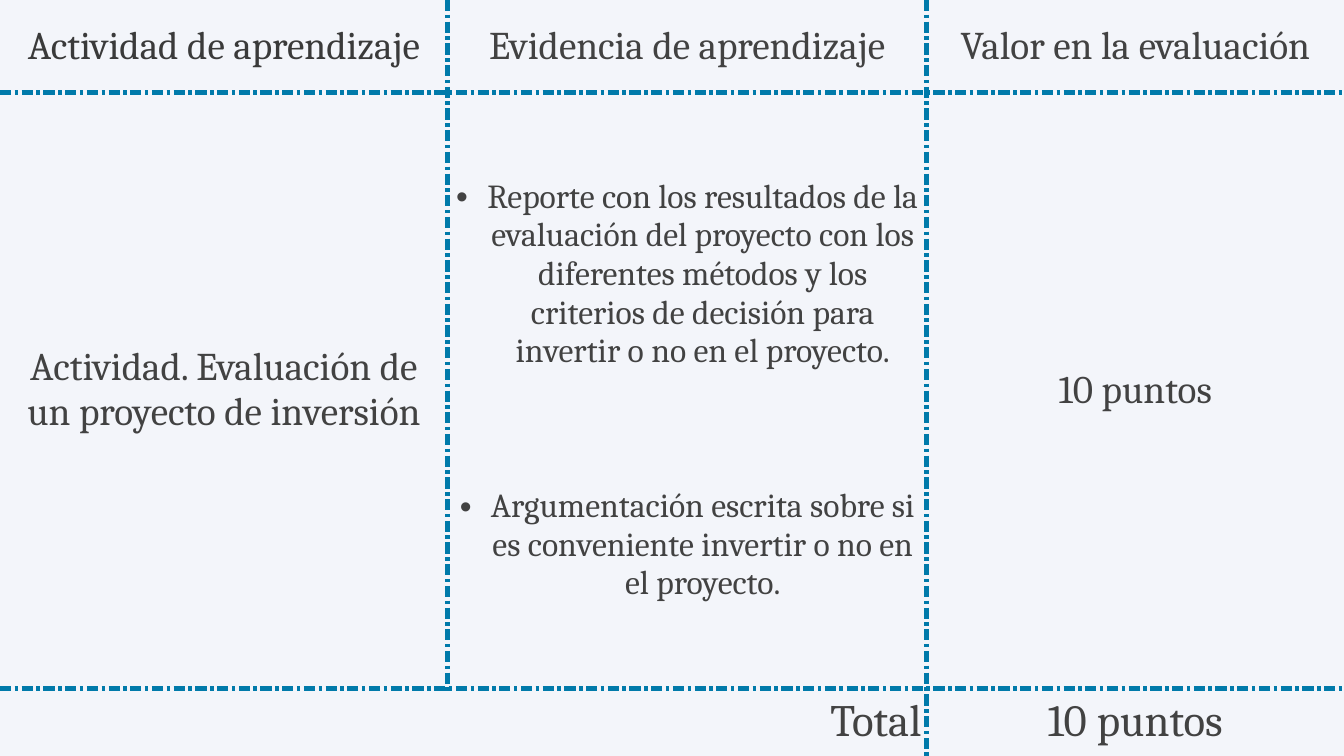
import pptx
import pptx.util
import pptx.dml.color
import pptx.enum.text
import pptx.oxml.ns
from lxml import etree

Inches = pptx.util.Inches
Pt = pptx.util.Pt
ALIGN = pptx.enum.text.PP_ALIGN
MIDDLE = pptx.enum.text.MSO_ANCHOR.MIDDLE
BLUE, DARK, GRAY, PALE = "007AAA", "3A3A3A", "424242", "F3F5FA"
COLS = [4.44, 4.75, 4.14]
ROWS = [0.92, 5.91, 0.67]
HEADS = ["Actividad de aprendizaje", "Evidencia de aprendizaje",
         "Valor en la evaluación"]
PROOFS = [
    "Reporte con los resultados de la evaluación del proyecto con los "
    "diferentes métodos y los criterios de decisión para invertir o no "
    "en el proyecto.",
    "Argumentación escrita sobre si es conveniente invertir o no en el "
    "proyecto.",
]


def color(code):
    return pptx.dml.color.RGBColor.from_string(code)


def apply(item, values):
    for name, value in values.items():
        setattr(item, name, value)


def node(parent, tag, **attrs):
    return etree.SubElement(parent, pptx.oxml.ns.qn("a:" + tag), attrs)


def border(cell, side, shown):
    line = node(cell._tc.get_or_add_tcPr(), "ln" + side, w=str(Pt(4.5)))
    if shown:
        node(node(line, "solidFill"), "srgbClr", val=BLUE)
        node(line, "prstDash", val="dashDot")
    else:
        node(line, "noFill")


def frame(cell, row, col):
    total = row == len(ROWS) - 1
    sides = {
        "L": col > 0 and not (total and col == 1),
        "R": col < len(COLS) - 1 and not (total and col == 0),
        "T": row > 0,
        "B": not total,
    }
    for side, shown in sides.items():
        border(cell, side, shown)
    cell.fill.background()
    edge = Inches(0.05)
    apply(cell, {"margin_left": edge, "margin_right": edge,
                 "margin_top": edge, "margin_bottom": edge,
                 "vertical_anchor": MIDDLE})


def write(para, text, size=28, tone=GRAY, align=ALIGN.CENTER):
    para.alignment = align
    run = para.add_run()
    run.text = text
    apply(run.font, {"name": "Cambria", "size": Pt(size), "bold": False})
    run.font.color.rgb = color(tone)


def bullets(cell, items, gap):
    text = cell.text_frame
    for i, item in enumerate(items):
        para = text.add_paragraph() if i else text.paragraphs[0]
        write(para, item, 24)
        if i:
            para.space_before = Pt(gap)
        props = para._p.get_or_add_pPr()
        props.set("marL", str(Inches(0.31)))
        props.set("indent", str(-Inches(0.31)))
        node(props, "buFont", typeface="Arial")
        node(props, "buChar", char="•")


def grid(slide):
    shape = slide.shapes.add_table(len(ROWS), len(COLS), 0, 0,
                                   Inches(sum(COLS)), Inches(sum(ROWS)))
    table = shape.table
    apply(table, {"first_row": False, "horz_banding": False})
    for col, width in zip(table.columns, COLS):
        col.width = Inches(width)
    for row, height in zip(table.rows, ROWS):
        row.height = Inches(height)
    for row in range(len(ROWS)):
        for col in range(len(COLS)):
            frame(table.cell(row, col), row, col)
    table.cell(2, 0).merge(table.cell(2, 1))
    return table


def main():
    deck = pptx.Presentation()
    apply(deck, {"slide_width": Inches(13.33), "slide_height": Inches(7.5)})
    slide = deck.slides.add_slide(deck.slide_layouts[6])
    fill = slide.background.fill
    fill.solid()
    fill.fore_color.rgb = color(PALE)

    table = grid(slide)

    def put(row, col, text, **style):
        write(table.cell(row, col).text_frame.paragraphs[0], text, **style)

    for col, head in enumerate(HEADS):
        put(0, col, head, tone=GRAY if col else DARK)
    put(1, 0, "Actividad. Evaluación de un proyecto de inversión")
    bullets(table.cell(1, 1), PROOFS, 83)
    put(1, 2, "10 puntos")
    put(2, 0, "Total", size=32, align=ALIGN.RIGHT)
    put(2, 2, "10 puntos", size=32)
    deck.save("out.pptx")


main()
